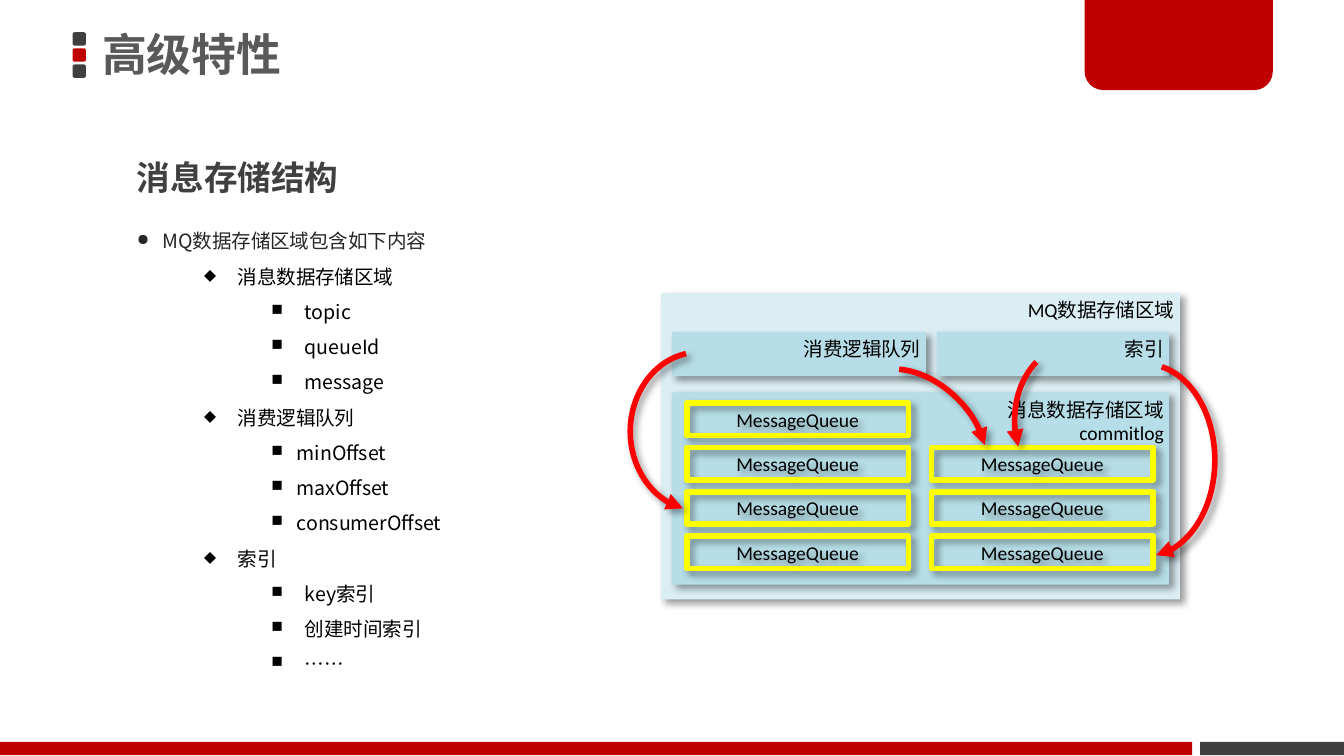
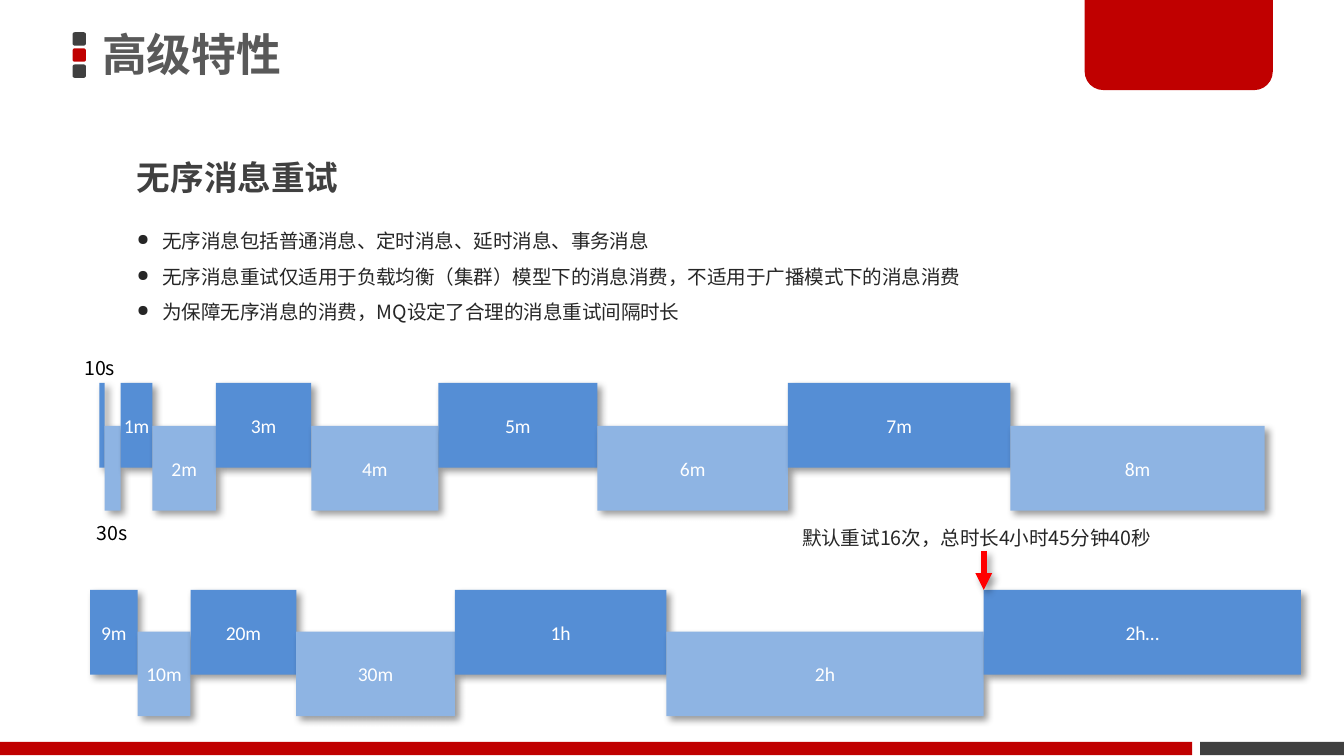
from lxml.etree import SubElement
from pptx import Presentation
from pptx.dml.color import RGBColor
from pptx.enum.shapes import MSO_CONNECTOR, MSO_SHAPE
from pptx.enum.text import MSO_ANCHOR, MSO_AUTO_SIZE, PP_ALIGN
from pptx.oxml.ns import qn
from pptx.util import Inches, Pt

RED, DARK, INK = "C00000", "404040", "262626"
BLACK, WHITE, ARROW, FRAME = "000000", "FFFFFF", "FF0000", "FFFF00"
PALE, TEAL = "DBEEF4", "B7DEE8"
BLUE, SKY = "558ED5", "8EB4E3"
SANS, LATIN = "Noto Sans CJK SC", "Calibri"
INSETS = (0.1, 0.05, 0.1, 0.05)
MARKS = "●◆■"


def color(code):
    return RGBColor.from_string(code)


def box(*sizes):
    return [Inches(size) for size in sizes]


class Deck:
    def __init__(self):
        self.prs = Presentation()
        self.prs.slide_width, self.prs.slide_height = box(10, 10 * 9 / 16)
        self.slide = None

    def page(self, title, topic):
        self.slide = self.prs.slides.add_slide(self.prs.slide_layouts[5])
        for row, fill in enumerate((DARK, RED, DARK)):
            self.shape((0.54, 0.24 + 0.12 * row, 0.1, 0.1), fill,
                       kind=MSO_SHAPE.ROUNDED_RECTANGLE)
        self.shape((8.93, 5.52, 1.07, 0.1), DARK)
        self.shape((0, 5.52, 8.87, 0.1), RED)
        tab = self.shape((8.07, -0.02, 1.4, 0.69), RED,
                         kind=MSO_SHAPE.ROUND_2_SAME_RECTANGLE)
        tab.adjustments[0] = 0.2
        tab.rotation = 180
        head = self.slide.shapes.title
        head.left, head.top, head.width, head.height = box(0.69, 0.09, 5.89, 0.67)
        self.frame(head, (0.07, 0.04, 0.07, 0.04), MSO_ANCHOR.MIDDLE)
        self.line(head.text_frame.paragraphs[0], title, 24, "595959",
                  bold=True, space=0.9)
        self.text((0.92, 0.97, 7.15, 0.51), topic, 18, DARK, bold=True, space=1.5)

    def frame(self, shape, insets=INSETS, anchor=MSO_ANCHOR.TOP):
        frame = shape.text_frame
        frame.word_wrap = True
        frame.auto_size = MSO_AUTO_SIZE.NONE
        frame.vertical_anchor = anchor
        (frame.margin_left, frame.margin_top,
         frame.margin_right, frame.margin_bottom) = box(*insets)
        return frame

    def line(self, para, words, size=10.5, ink=BLACK, face=SANS, bold=False,
             align=PP_ALIGN.LEFT, space=None):
        para.alignment = align
        if space:
            para.line_spacing = space
        run = para.add_run()
        run.text = words
        font = run.font
        font.size, font.bold, font.name = Pt(size), bold, face
        font.color.rgb = color(ink)
        SubElement(run._r.get_or_add_rPr(), qn("a:ea"), typeface=SANS)

    def lines(self, frame, texts, **style):
        for spot, words in enumerate(texts):
            para = frame.add_paragraph() if spot else frame.paragraphs[0]
            self.line(para, words, **style)

    def text(self, place, words, size=10.5, ink=BLACK, wrap=True, **style):
        note = self.slide.shapes.add_textbox(*box(*place))
        frame = self.frame(note)
        frame.word_wrap = wrap
        self.line(frame.paragraphs[0], words, size, ink, **style)

    def bullets(self, place, items):
        frame = self.frame(self.slide.shapes.add_textbox(*box(*place)))
        for spot, (level, left, hang, words) in enumerate(items):
            para = frame.add_paragraph() if spot else frame.paragraphs[0]
            para.level = level
            props = para._p.get_or_add_pPr()
            props.set("marL", str(Inches(left)))
            props.set("indent", str(-Inches(hang)))
            SubElement(props, qn("a:buSzPct"), val="80000")
            SubElement(props, qn("a:buChar"), char=MARKS[level])
            self.line(para, words, ink=BLACK if level else INK, space=1.5)

    def shade(self, shape):
        props = shape.element.spPr
        effects = props.find(qn("a:effectLst"))
        if effects is None:
            effects = SubElement(props, qn("a:effectLst"))
        outer = SubElement(effects, qn("a:outerShdw"), blurRad=str(Pt(4)),
                           dist=str(Pt(3)), dir="2700000", algn="tl",
                           rotWithShape="0")
        tone = SubElement(outer, qn("a:srgbClr"), val=BLACK)
        SubElement(tone, qn("a:alpha"), val="40000")

    def shape(self, place, fill=None, edge=None, kind=MSO_SHAPE.RECTANGLE):
        shape = self.slide.shapes.add_shape(kind, *box(*place))
        shape.shadow.inherit = False
        if fill:
            shape.fill.solid()
            shape.fill.fore_color.rgb = color(fill)
        else:
            shape.fill.background()
        if edge:
            shape.line.color.rgb = color(edge)
            shape.line.width = Pt(3)
        else:
            shape.line.fill.background()
        return shape

    def panel(self, place, fill, *texts):
        shape = self.shape(place, fill)
        self.shade(shape)
        frame = self.frame(shape, (0.1, 0.04, 0.04, 0.05))
        self.lines(frame, texts, face=LATIN, align=PP_ALIGN.RIGHT)

    def cell(self, place, words, fill=None, edge=None, ink=BLACK):
        shape = self.shape(place, fill, edge)
        self.shade(shape)
        frame = self.frame(shape, (0, 0.05, 0, 0.05), MSO_ANCHOR.MIDDLE)
        if words:
            self.lines(frame, [words], ink=ink, face=LATIN, align=PP_ALIGN.CENTER)

    def tip(self, shape):
        SubElement(shape.element.spPr.find(qn("a:ln")), qn("a:tailEnd"),
                   type="triangle")

    def arc(self, place, start, end, turn=0, flip=False):
        arc = self.shape(place, edge=ARROW, kind=MSO_SHAPE.ARC)
        arc.adjustments[0], arc.adjustments[1] = start, end
        arc.rotation = turn
        if flip:
            arc.element.spPr.find(qn("a:xfrm")).set("flipH", "1")
        self.tip(arc)
        self.shade(arc)

    def arrow(self, *ends):
        arrow = self.slide.shapes.add_connector(MSO_CONNECTOR.STRAIGHT, *box(*ends))
        arrow.line.color.rgb = color(ARROW)
        arrow.line.width = Pt(3)
        self.tip(arrow)
        self.shade(arrow)

    def steps(self, left, right, top, drop, spans):
        unit = (right - left) / sum(span for span, _ in spans)
        for spot, (span, words) in enumerate(spans):
            low = spot % 2
            self.cell((left, top + drop * low, span * unit, 0.63), words,
                      fill=SKY if low else BLUE, ink=WHITE)
            left += span * unit


def store(deck):
    deck.page("高级特性", "消息存储结构")
    groups = [
        ("消息数据存储区域", 0.25, ["topic", "queueId", "message"]),
        ("消费逻辑队列", 0.19, ["minOffset", "maxOffset", "consumerOffset"]),
        ("索引", 0.25, ["key索引", "创建时间索引", "……"]),
    ]
    items = [(0, 0.19, 0.19, "MQ数据存储区域包含如下内容")]
    for name, hang, parts in groups:
        items.append((1, 0.75, 0.25, name))
        items += [(2, 1 + hang, hang, part) for part in parts]
    deck.bullets((0.92, 1.57, 7.01, 3.55), items)

    deck.panel((4.92, 2.18, 3.86, 2.28), PALE, "MQ数据存储区域")
    deck.panel((5, 2.92, 3.7, 1.43), TEAL, "消息数据存储区域", "commitlog")
    deck.panel((5, 2.47, 1.89, 0.33), TEAL, "消费逻辑队列")
    deck.panel((6.97, 2.47, 1.73, 0.33), TEAL, "索引")
    for col, first in enumerate((0, 1)):
        for row in range(first, 4):
            deck.cell((5.11 + 1.82 * col, 3 + 0.33 * row, 1.65, 0.24),
                      "MessageQueue", edge=FRAME)
    deck.arc((4.69, 2.62, 1.03, 1.18), 167.89, 46.71, flip=True)
    deck.arc((6.43, 2.66, 0.81, 1.18), 179.75, 31.67, turn=314.3)
    deck.arc((8.01, 2.71, 1.03, 1.43), 167.89, 50.25)
    deck.arc((7.55, 2.56, 0.96, 1.18), 179.75, 9.35, turn=354.7, flip=True)


def retry(deck):
    deck.page("高级特性", "无序消息重试")
    points = [
        "无序消息包括普通消息、定时消息、延时消息、事务消息",
        "无序消息重试仅适用于负载均衡（集群）模型下的消息消费，不适用于广播模式下的消息消费",
        "为保障无序消息的消费，MQ设定了合理的消息重试间隔时长",
    ]
    deck.bullets((0.92, 1.57, 7.62, 0.9),
                 [(0, 0.19, 0.19, point) for point in points])
    short = [(10, ""), (30, "")] + [(60 * n, f"{n}m") for n in range(1, 9)]
    deck.steps(0.74, 9.41, 2.85, 0.32, short)
    long = [(9, "9m"), (10, "10m"), (20, "20m"), (30, "30m"),
            (40, "1h"), (60, "2h"), (60, "2h…")]
    deck.steps(0.67, 9.68, 4.39, 0.31, long)
    deck.text((0.53, 2.6, 0.43, 0.28), "10s", wrap=False)
    deck.text((0.62, 3.83, 0.43, 0.28), "30s", wrap=False)
    deck.arrow(7.32, 4.1, 7.32, 4.39)
    deck.text((5.87, 3.78, 2.96, 0.37), "默认重试16次，总时长4小时45分钟40秒",
              ink=INK, space=1.5)


def main():
    deck = Deck()
    store(deck)
    retry(deck)
    deck.prs.save("out.pptx")


if __name__ == "__main__":
    main()
